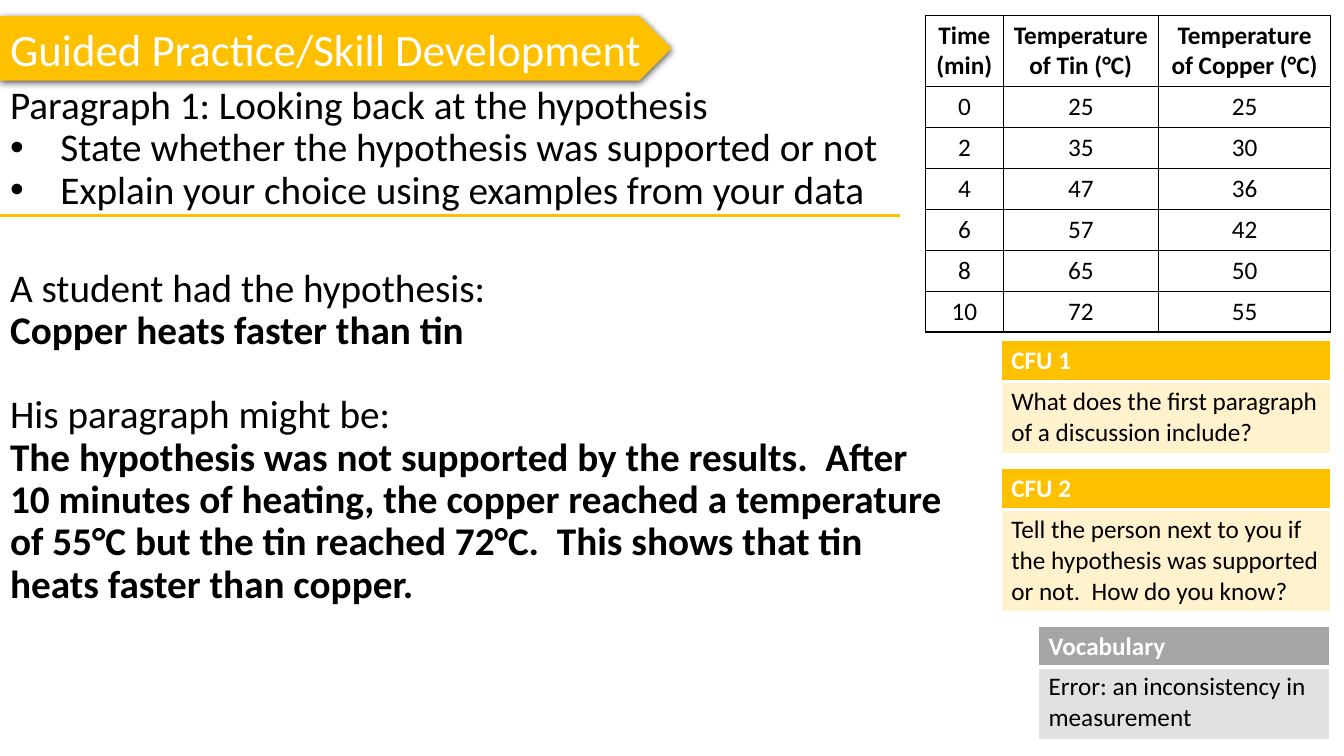
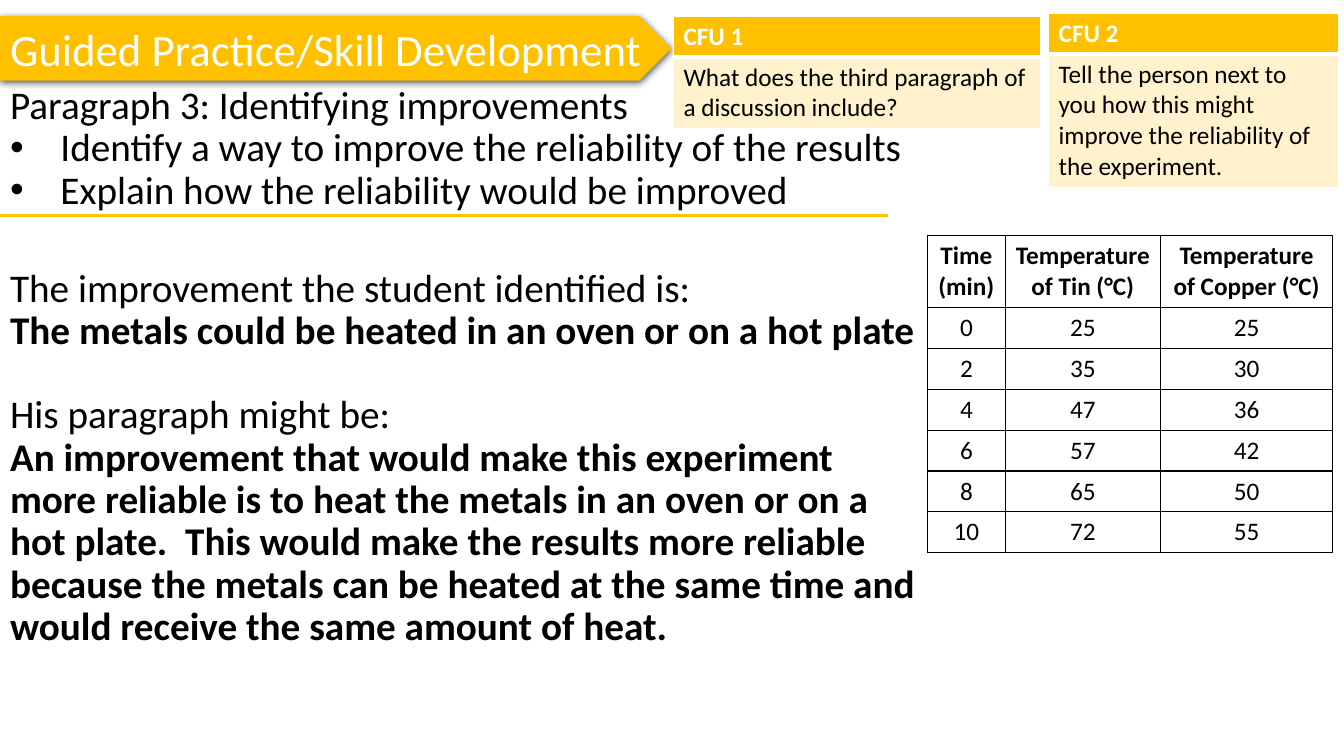
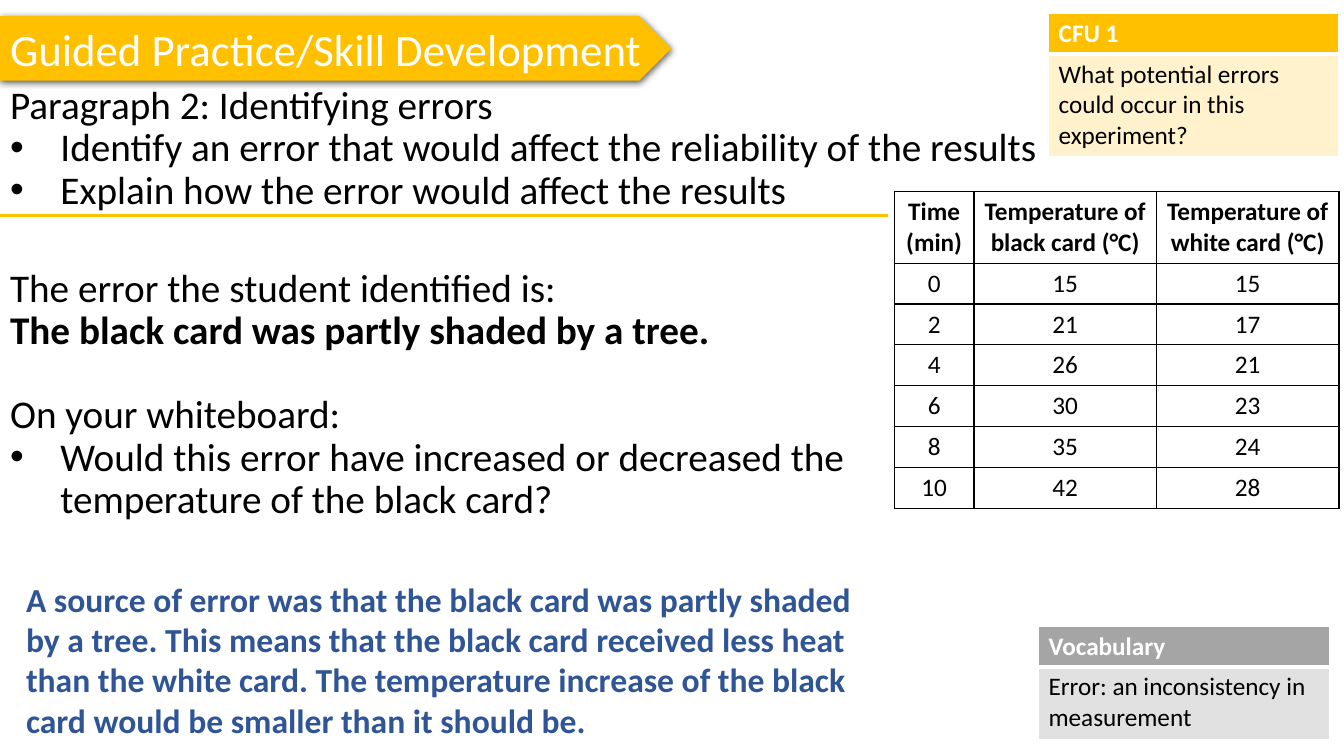
from lxml.etree import SubElement
from pptx import Presentation
from pptx.dml.color import RGBColor
from pptx.enum.shapes import MSO_CONNECTOR, MSO_SHAPE
from pptx.enum.text import MSO_ANCHOR, MSO_AUTO_SIZE, PP_ALIGN
from pptx.oxml import parse_xml
from pptx.oxml.ns import nsdecls, qn
from pptx.util import Inches, Pt

GOLD = RGBColor(0xFF, 0xC0, 0x00)
CREAM = RGBColor(0xFF, 0xF2, 0xCC)
GREY = RGBColor(0xA5, 0xA5, 0xA5)
PALE_GREY = RGBColor(0xE1, 0xE1, 0xE1)
BLUE = RGBColor(0x2F, 0x55, 0x97)
BLACK = RGBColor(0, 0, 0)
WHITE = RGBColor(0xFF, 0xFF, 0xFF)
FONT = "Calibri"
SHADOW = (
    f'<a:effectLst {nsdecls("a")}><a:outerShdw blurRad="57150" dist="19050" dir="5400000" '
    'algn="ctr" rotWithShape="0"><a:srgbClr val="000000"><a:alpha val="63000"/></a:srgbClr>'
    "</a:outerShdw></a:effectLst>"
)
HEAD_H = 0.39
ROW_H = 0.4
METALS = [
    ("Time (min)", "Temperature of Tin (°C)", "Temperature of Copper (°C)"),
    (0, 25, 25), (2, 35, 30), (4, 47, 36), (6, 57, 42), (8, 65, 50), (10, 72, 55),
]
CARDS = [
    ("Time (min)", "Temperature of black card (°C)", "Temperature of white card (°C)"),
    (0, 15, 15), (2, 21, 17), (4, 26, 21), (6, 30, 23), (8, 35, 24), (10, 42, 28),
]
VOCABULARY = ("Vocabulary", "Error: an inconsistency in measurement",
              10.3, 6.21, 2.89, 1.11, GREY, PALE_GREY)

SLIDES = [
    {
        "brief": ["Paragraph 1: Looking back at the hypothesis",
                  "State whether the hypothesis was supported or not",
                  "Explain your choice using examples from your data"],
        "brief_w": 10.06,
        "example": [
            ("A student had the hypothesis:", "plain"),
            ("Copper heats faster than tin", "bold"),
            ("His paragraph might be:", "plain"),
            ("The hypothesis was not supported by the results.  After 10 minutes of heating, "
             "the copper reached a temperature of 55°C but the tin reached 72°C.  This shows "
             "that tin heats faster than copper.", "bold"),
        ],
        "example_w": 9.44,
        "rule_w": 8.93,
        "data": (METALS, 9.18, 0.15, (0.77, 1.54, 1.71)),
        "boxes": [
            VOCABULARY,
            ("CFU 1", "What does the first paragraph of a discussion include?",
             9.93, 3.38, 3.27, 1.1, GOLD, CREAM),
            ("CFU 2", "Tell the person next to you if the hypothesis was supported or not.  "
             "How do you know?", 9.93, 4.65, 3.27, 1.4, GOLD, CREAM),
        ],
    },
    {
        "brief": ["Paragraph 3: Identifying improvements",
                  "Identify a way to improve the reliability of the results",
                  "Explain how the reliability would be improved"],
        "brief_w": 10.06,
        "example": [
            ("The improvement the student identified is:", "plain"),
            ("The metals could be heated in an oven or on a hot plate", "bold"),
            ("His paragraph might be:", "plain"),
            ("An improvement that would make this experiment more reliable is to heat the "
             "metals in an oven or on a hot plate.  This would make the results more reliable "
             "because the metals can be heated at the same time and would receive the same "
             "amount of heat.", "bold"),
        ],
        "example_w": 9.26,
        "rule_w": 8.81,
        "data": (METALS, 9.2, 2.34, (0.77, 1.54, 1.71)),
        "boxes": [
            ("CFU 2", "Tell the person next to you how this might improve the reliability of "
             "the experiment.", 10.4, 0.13, 2.88, 1.7, GOLD, CREAM),
            ("CFU 1", "What does the third paragraph of a discussion include?",
             6.68, 0.16, 3.64, 1.1, GOLD, CREAM),
        ],
    },
    {
        "brief": ["Paragraph 2: Identifying errors",
                  "Identify an error that would affect the reliability of the results",
                  "Explain how the error would affect the results"],
        "brief_w": 10.4,
        "example": [
            ("The error the student identified is:", "plain"),
            ("The black card was partly shaded by a tree.", "bold"),
            ("On your whiteboard:", "plain"),
            ("Would this error have increased or decreased the temperature of the black card?",
             "bullet"),
        ],
        "example_w": 8.93,
        "rule_w": 8.81,
        "data": (CARDS, 8.87, 1.9, (0.79, 1.81, 1.81)),
        "boxes": [
            ("CFU 1", "What potential errors could occur in this experiment?",
             10.4, 0.13, 2.88, 1.4, GOLD, CREAM),
            VOCABULARY,
        ],
        "answer": "A source of error was that the black card was partly shaded by a tree. This "
                  "means that the black card received less heat than the white card. The "
                  "temperature increase of the black card would be smaller than it should be.",
    },
]


def style(p, size, color, bold=False):
    for r in p.runs:
        r.font.name = FONT
        r.font.size = Pt(size)
        r.font.color.rgb = color
        r.font.bold = bold


def fill_cell(cell, text, color, bold, fill, edge, widths):
    cell.text = str(text)
    style(cell.text_frame.paragraphs[0], 18, color, bold)
    tcPr = cell._tc.get_or_add_tcPr()
    for side, width in zip(("lnL", "lnR", "lnT", "lnB"), widths):
        ln = SubElement(tcPr, qn(f"a:{side}"), w=str(Pt(width)))
        SubElement(SubElement(ln, qn("a:solidFill")), qn("a:srgbClr"), val=str(edge))
    if fill is None:
        cell.fill.background()
    else:
        cell.fill.solid()
        cell.fill.fore_color.rgb = fill


prs = Presentation()
prs.slide_width = Inches(13.33)
prs.slide_height = Inches(7.5)

for content in SLIDES:
    s = prs.slides.add_slide(prs.slide_layouts[3])
    title, brief, example = s.placeholders

    band = s.shapes.add_shape(MSO_SHAPE.PENTAGON, 0, Inches(0.16), Inches(6.66), Inches(0.64))
    band.fill.solid()
    band.fill.fore_color.rgb = GOLD
    band.line.fill.background()
    band._element.spPr.append(parse_xml(SHADOW))
    s.shapes.element.insert(2, band.element)

    title.left, title.top, title.width, title.height = 0, Inches(0.16), Inches(6.66), Inches(0.64)
    tf = title.text_frame
    tf.text = "Guided Practice/Skill Development"
    tf.auto_size = MSO_AUTO_SIZE.NONE
    tf.vertical_anchor = MSO_ANCHOR.MIDDLE
    tf.paragraphs[0].alignment = PP_ALIGN.LEFT
    style(tf.paragraphs[0], 32, WHITE)

    kinds = ["plain", "bullet", "bullet"]
    for body, top, width, height, items in (
        (brief, 0.8, content["brief_w"], 1.4, list(zip(content["brief"], kinds))),
        (example, 2.61, content["example_w"], 4.1, content["example"]),
    ):
        body.left, body.top = 0, Inches(top)
        body.width, body.height = Inches(width), Inches(height)
        tf = body.text_frame
        tf.auto_size = MSO_AUTO_SIZE.NONE
        tf.text = "\n".join(text for text, kind in items)
        for i, (p, (text, kind)) in enumerate(zip(tf.paragraphs, items)):
            pPr = p._p.get_or_add_pPr()
            indent = Inches(0.5) if kind == "bullet" else 0
            pPr.set("marL", str(indent))
            pPr.set("indent", str(-indent))
            if kind == "bullet":
                SubElement(pPr, qn("a:buFont"), typeface="Arial")
                SubElement(pPr, qn("a:buChar"), char="•")
            else:
                SubElement(pPr, qn("a:buNone"))
            p.line_spacing = 0.9
            p.space_before = Pt(30 if body is example and i == 2 else 0)
            style(p, 28, BLACK, kind == "bold")

    rule = s.shapes.add_connector(MSO_CONNECTOR.STRAIGHT, 0, Inches(2.14),
                                  Inches(content["rule_w"]), Inches(2.14))
    rule.line.color.rgb = GOLD
    rule.line.width = Pt(2.25)
    SubElement(rule._element.spPr, qn("a:effectLst"))

    for heading, text, left, top, width, height, head_fill, body_fill in content["boxes"]:
        table = s.shapes.add_table(2, 1, Inches(left), Inches(top),
                                   Inches(width), Inches(height)).table
        table.rows[0].height = Inches(HEAD_H)
        table.rows[1].height = Inches(height - HEAD_H)
        fill_cell(table.cell(0, 0), heading, WHITE, True, head_fill, WHITE, (1, 1, 1, 3))
        fill_cell(table.cell(1, 0), text, BLACK, False, body_fill, WHITE, (1, 1, 3, 1))

    rows, left, top, widths = content["data"]
    table = s.shapes.add_table(len(rows), len(widths), Inches(left), Inches(top),
                               Inches(sum(widths)), Inches(ROW_H * len(rows))).table
    for column, width in zip(table.columns, widths):
        column.width = Inches(width)
    for i, row in enumerate(rows):
        table.rows[i].height = Inches(ROW_H if i else 0.7)
        for j, value in enumerate(row):
            cell = table.cell(i, j)
            fill_cell(cell, value, BLACK, i == 0, None, BLACK, (1, 1, 1, 1))
            cell.vertical_anchor = MSO_ANCHOR.MIDDLE
            cell.text_frame.paragraphs[0].alignment = PP_ALIGN.CENTER

    if "answer" in content:
        tf = s.shapes.add_textbox(Inches(0.16), Inches(5.69),
                                  Inches(8.61), Inches(1.72)).text_frame
        tf.word_wrap = True
        tf.text = content["answer"]
        style(tf.paragraphs[0], 24, BLUE, True)

prs.save("out.pptx")
